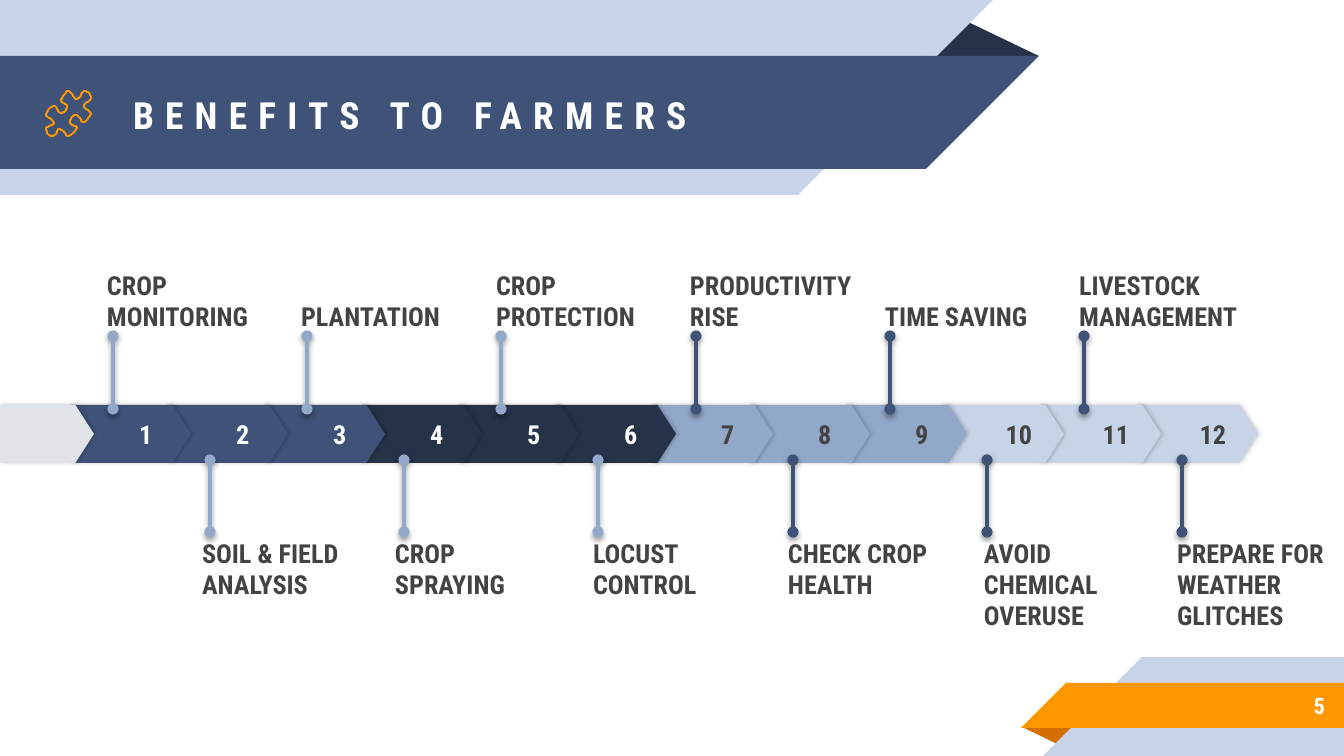
from dataclasses import dataclass

from lxml.etree import SubElement
from pptx import Presentation
from pptx.dml.color import RGBColor
from pptx.enum.shapes import MSO_CONNECTOR, MSO_SHAPE
from pptx.enum.text import MSO_ANCHOR, PP_ALIGN
from pptx.oxml.ns import qn
from pptx.util import Pt

EMU_PER_PX = 914400 / 134.4


@dataclass(frozen=True)
class Theme:
    font: str = "Roboto Condensed"
    ink: str = "263248"
    navy: str = "3F5378"
    steel: str = "92A8C8"
    mist: str = "C7D3E6"
    pale: str = "E0E4E9"
    orange: str = "FF9800"
    rust: str = "D26F00"
    white: str = "FFFFFF"
    text: str = "434343"
    title_size: int = 20
    label_size: int = 14
    page_size: int = 12


THEME = Theme()

BENEFITS = [
    ("CROP MONITORING", -6, 184),
    ("SOIL & FIELD ANALYSIS", -8, 184),
    ("PLANTATION", -6, 184),
    ("CROP SPRAYING", -9, 161),
    ("CROP PROTECTION", -5, 184),
    ("LOCUST CONTROL", -5, 184),
    ("PRODUCTIVITY RISE", -6, 184),
    ("CHECK CROP HEALTH", -5, 184),
    ("TIME SAVING", -5, 184),
    ("AVOID CHEMICAL OVERUSE", -3, 184),
    ("LIVESTOCK MANAGEMENT", -5, 184),
    ("PREPARE FOR WEATHER GLITCHES", -5, 152),
]

PUZZLE_OUTLINE = [
    (86, 103), (90, 100), (91, 97), (89, 93), (85, 91), (82, 93),
    (81, 95), (79, 98), (76, 99), (74, 97), (71, 93), (68, 91),
    (65, 94), (62, 98), (61, 100), (63, 103), (66, 104), (67, 107),
    (66, 110), (64, 112), (61, 113), (58, 111), (57, 108), (54, 106),
    (50, 108), (47, 112), (46, 115), (48, 117), (52, 120), (54, 123),
    (52, 125), (49, 126), (46, 129), (47, 132), (49, 135), (52, 136),
    (55, 135), (57, 132), (59, 129), (62, 130), (65, 133), (68, 136),
    (72, 134), (75, 131), (77, 128), (75, 126), (72, 125), (70, 122),
    (71, 119), (73, 116), (76, 115), (79, 117), (81, 120), (83, 122),
    (86, 121), (89, 117), (91, 114), (89, 111), (84, 107), (84, 105),
]


def px(length):
    return round(length * EMU_PER_PX)


def rgb(color):
    return RGBColor.from_string(color)


def add_shadow(effects, blur, distance, opacity, angle):
    shadow = SubElement(effects, qn("a:outerShdw"), blurRad=str(Pt(blur)),
                        dist=str(Pt(distance)), dir=str(angle * 60000),
                        algn="bl", rotWithShape="0")
    black = SubElement(shadow, qn("a:srgbClr"), val="000000")
    SubElement(black, qn("a:alpha"), val=str(opacity * 1000))


def add_panel(slide, kind, box, color, flip=None, point=None):
    panel = slide.shapes.add_shape(kind, *map(px, box))
    panel.fill.solid()
    panel.fill.fore_color.rgb = rgb(color)
    panel.line.fill.background()
    panel.shadow.inherit = False
    if flip:
        panel._element.spPr.find(qn("a:xfrm")).set(flip, "1")
    if point is not None:
        panel.adjustments[0] = point
    return panel


def write(holder, words, size, color, anchor, align=PP_ALIGN.LEFT,
          insets=(0, 0, 0, 0), spacing=0):
    frame = holder.text_frame
    frame.word_wrap = True
    frame.vertical_anchor = anchor
    (frame.margin_left, frame.margin_top,
     frame.margin_right, frame.margin_bottom) = map(px, insets)
    frame.text = words
    paragraph = frame.paragraphs[0]
    paragraph.alignment = align
    run = paragraph.runs[0]
    run.font.name = THEME.font
    run.font.size = Pt(size)
    run.font.bold = True
    run.font.color.rgb = rgb(color)
    if spacing:
        run.font._element.set("spc", str(spacing * 100))


def add_label(slide, box, words, size, color, anchor, **style):
    label = slide.shapes.add_textbox(*map(px, box))
    write(label, words, size, color, anchor, **style)


def add_chevron(slide, left, width, color):
    chevron = add_panel(slide, MSO_SHAPE.PENTAGON, (left, 405, width, 58),
                        color, point=0.32)
    effects = chevron._element.spPr.find(qn("a:effectLst"))
    add_shadow(effects, 2.2, 0.8, 20, 0)
    return chevron


def add_pin(slide, x, bottom, top, color):
    pin = slide.shapes.add_connector(MSO_CONNECTOR.STRAIGHT, px(x), px(bottom),
                                     px(x), px(top))
    pin.line.color.rgb = rgb(color)
    pin.line.width = Pt(2)
    outline = pin.line._get_or_add_ln()
    for end in ("a:headEnd", "a:tailEnd"):
        SubElement(outline, qn(end), type="oval")
    effects = SubElement(pin._element.spPr, qn("a:effectLst"))
    add_shadow(effects, 3.1, 1.6, 38, 90)


def smooth_outline(points, steps=4):
    curve = []
    for i, b in enumerate(points):
        a, c, d = points[i - 1], points[(i + 1) % len(points)], points[(i + 2) % len(points)]
        for step in range(steps):
            t = step / steps
            curve.append(tuple(
                (2 * q + (r - p) * t + (2 * p - 5 * q + 4 * r - s) * t ** 2
                 + (3 * q - p - 3 * r + s) * t ** 3) / 2
                for p, q, r, s in zip(a, b, c, d)))
    return curve


def add_puzzle_icon(slide):
    start, *rest = smooth_outline(PUZZLE_OUTLINE)
    builder = slide.shapes.build_freeform(*start, scale=EMU_PER_PX)
    builder.add_line_segments(rest, close=True)
    puzzle = builder.convert_to_shape()
    puzzle.fill.background()
    puzzle.line.color.rgb = rgb(THEME.orange)
    puzzle.line.width = Pt(0.96)
    puzzle.shadow.inherit = False


def add_header(slide):
    add_panel(slide, MSO_SHAPE.ISOSCELES_TRIANGLE, (925, 19, 114, 37), THEME.ink, point=0.324)
    for top, width, height, color in ((0, 798, 195, THEME.mist), (56, 926, 113, THEME.navy)):
        add_panel(slide, MSO_SHAPE.RECTANGLE, (0, top, width, height), color)
        add_panel(slide, MSO_SHAPE.RIGHT_TRIANGLE, (width, top, height, height), color, "flipV")
    add_label(slide, (120, 58, 773, 113), "BENEFITS TO FARMERS", THEME.title_size,
              THEME.white, MSO_ANCHOR.MIDDLE, insets=(13, 13, 13, 13), spacing=6)
    add_puzzle_icon(slide)


def add_footer(slide):
    add_panel(slide, MSO_SHAPE.ISOSCELES_TRIANGLE, (1022, 727, 58, 19), THEME.rust,
              "flipV", 0.676)
    for left, top, height, color in ((1142, 657, 99, THEME.mist), (1066, 683, 45, THEME.orange)):
        add_panel(slide, MSO_SHAPE.RECTANGLE, (left, top, 1344 - left, height), color)
        add_panel(slide, MSO_SHAPE.RIGHT_TRIANGLE, (left - height, top, height, height),
                  color, "flipH")
    add_label(slide, (1120, 682, 218, 47), "5", THEME.page_size, THEME.white,
              MSO_ANCHOR.MIDDLE, align=PP_ALIGN.RIGHT, insets=(13, 13, 13, 13))


def add_timeline(slide):
    phases = ((THEME.navy, THEME.white), (THEME.ink, THEME.white),
              (THEME.steel, THEME.text), (THEME.mist, THEME.text))
    for step in reversed(range(len(BENEFITS))):
        fill, number_color = phases[step // 3]
        chevron = add_chevron(slide, 70 + 97 * step, 121, fill)
        write(chevron, str(step + 1), THEME.label_size, number_color, MSO_ANCHOR.MIDDLE,
              align=PP_ALIGN.CENTER, insets=(40, 0, 0, 0))
    add_chevron(slide, 0, 94, THEME.pale)


def add_benefits(slide):
    for step, (benefit, offset, width) in enumerate(BENEFITS):
        pin_x = 113 + 1069 * step // 11
        pin_color = THEME.steel if step < 6 else THEME.navy
        if step % 2 == 0:
            pin_bottom, pin_top, label_top, anchor = 409, 336, 254, MSO_ANCHOR.BOTTOM
        else:
            pin_bottom, pin_top, label_top, anchor = 532, 460, 537, MSO_ANCHOR.TOP
        add_pin(slide, pin_x, pin_bottom, pin_top, pin_color)
        add_label(slide, (pin_x + offset, label_top, width, 78), benefit,
                  THEME.label_size, THEME.text, anchor)


def main():
    deck = Presentation()
    deck.slide_width, deck.slide_height = px(1344), px(756)
    slide = deck.slides.add_slide(deck.slide_layouts[6])
    add_header(slide)
    add_footer(slide)
    add_timeline(slide)
    add_benefits(slide)
    deck.save("out.pptx")


if __name__ == "__main__":
    main()
